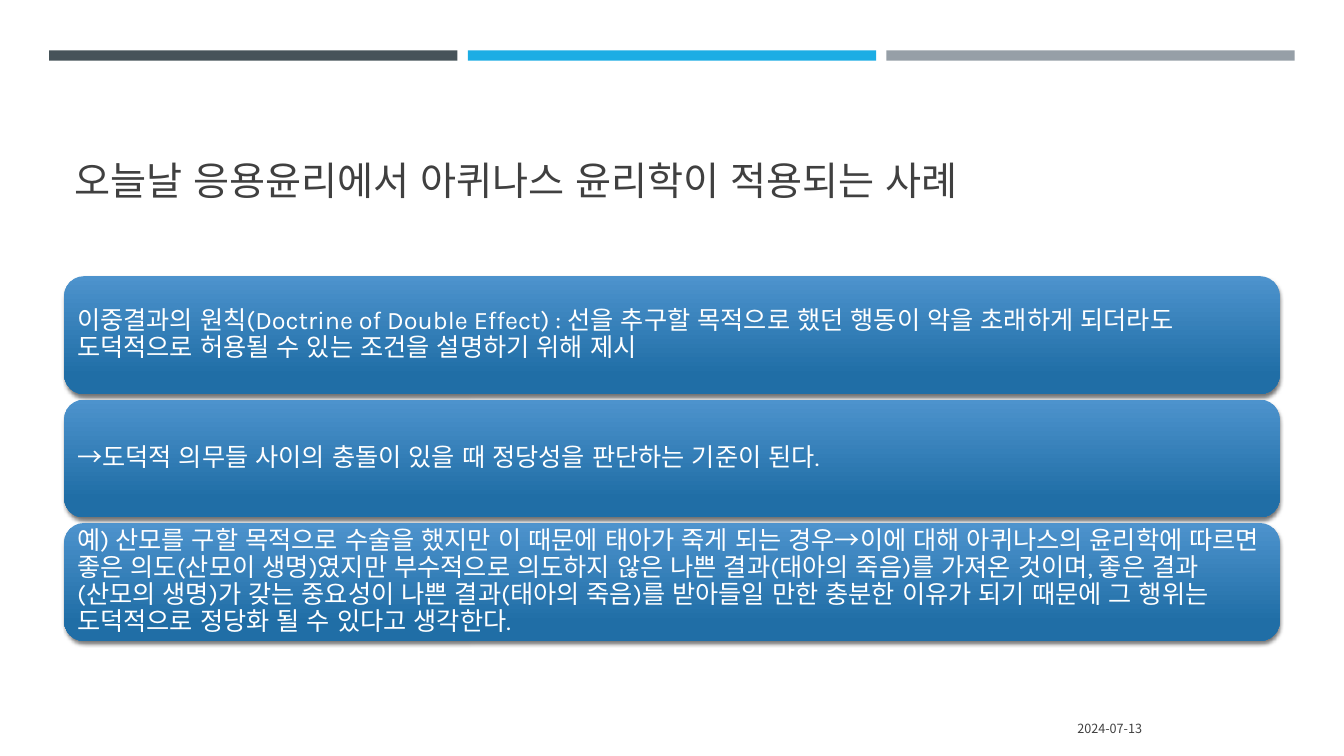
from lxml import etree
from pptx import Presentation
from pptx.dml.color import RGBColor
from pptx.enum.lang import MSO_LANGUAGE_ID
from pptx.enum.shapes import MSO_SHAPE
from pptx.enum.text import MSO_ANCHOR, MSO_AUTO_SIZE, PP_ALIGN
from pptx.oxml.ns import qn
from pptx.util import Cm, Pt

RECTANGLE = MSO_SHAPE.RECTANGLE
ROUNDED_RECTANGLE = MSO_SHAPE.ROUNDED_RECTANGLE
MIDDLE, BOTTOM = MSO_ANCHOR.MIDDLE, MSO_ANCHOR.BOTTOM
LEFT, RIGHT = PP_ALIGN.LEFT, PP_ALIGN.RIGHT
NO_AUTOFIT = MSO_AUTO_SIZE.NONE
KOREAN = MSO_LANGUAGE_ID.KOREAN

COLORS = {
    "slate": "465359",
    "blue": "1CADE4",
    "gray": "969FA7",
    "text": "404040",
    "panel top": "4D93CD",
    "panel bottom": "206EA6",
    "white": "FFFFFF",
    "shadow": "000000",
}
KOREAN_FONT = "Noto Sans CJK KR"
LATIN_FONT = "Karla"

PANEL_TEXTS = [
    "이중결과의 원칙(Doctrine of Double Effect) : 선을 추구할 목적으로 했던 행동이 악을 "
    "초래하게 되더라도 도덕적으로 허용될 수 있는 조건을 설명하기 위해 제시",
    "→도덕적 의무들 사이의 충돌이 있을 때 정당성을 판단하는 기준이 된다.",
    "예) 산모를 구할 목적으로 수술을 했지만 이 때문에 태아가 죽게 되는 경우→이에 대해 "
    "아퀴나스의 윤리학에 따르면 좋은 의도(산모이 생명)였지만 부수적으로 의도하지 않은 나쁜 "
    "결과(태아의 죽음)를 가져온 것이며, 좋은 결과(산모의 생명)가 갖는 중요성이 나쁜 결과"
    "(태아의 죽음)를 받아들일 만한 충분한 이유가 되기 때문에 그 행위는 도덕적으로 정당화 "
    "될 수 있다고 생각한다.",
]


def write_text(shape, text, size, color, font_name, anchor, alignment):
    """Fill the shape with one formatted paragraph and return that paragraph."""
    frame = shape.text_frame
    frame.text = text
    frame.word_wrap = True
    frame.auto_size = NO_AUTOFIT
    frame.vertical_anchor = anchor
    paragraph = frame.paragraphs[0]
    paragraph.alignment = alignment
    run = paragraph.runs[0]
    run.font.size = Pt(size)
    run.font.name = font_name
    run.font.language_id = KOREAN
    run.font.color.rgb = RGBColor.from_string(COLORS[color])
    east_asian = etree.SubElement(run.font._element, qn("a:ea"))
    east_asian.set("typeface", KOREAN_FONT)
    return paragraph


def add_soft_shadow(shape):
    shape.shadow.inherit = False
    effects = shape._element.spPr.find(qn("a:effectLst"))
    shadow = etree.SubElement(effects, qn("a:outerShdw"), blurRad=str(Pt(3)),
                              dist=str(Pt(2)), dir="5400000", rotWithShape="0")
    color = etree.SubElement(shadow, qn("a:srgbClr"), val=COLORS["shadow"])
    etree.SubElement(color, qn("a:alpha"), val="55000")


presentation = Presentation()
presentation.slide_width = Cm(33.87)
presentation.slide_height = Cm(19.05)
slide = presentation.slides.add_slide(presentation.slide_layouts[5])

# Three bars across the top
for index, color in enumerate(["slate", "blue", "gray"]):
    bar = slide.shapes.add_shape(
        RECTANGLE, Cm(1.24 + index * 10.55), Cm(1.27), Cm(10.29), Cm(0.26))
    bar.shadow.inherit = False
    bar.fill.solid()
    bar.fill.fore_color.rgb = RGBColor.from_string(COLORS[color])
    bar.line.fill.background()

# Title and date
title = slide.shapes.title
title.left, title.top, title.width, title.height = Cm(1.62), Cm(1.96), Cm(30.63), Cm(3.3)
write_text(title, "오늘날 응용윤리에서 아퀴나스 윤리학이 적용되는 사례",
           28, "text", KOREAN_FONT, BOTTOM, LEFT)

date = slide.shapes.add_textbox(Cm(21.13), Cm(17.84), Cm(7.9), Cm(1.02))
write_text(date, "2024-07-13", 9, "text", KOREAN_FONT, MIDDLE, RIGHT)

# Stacked panels
for index, text in enumerate(PANEL_TEXTS):
    panel = slide.shapes.add_shape(
        ROUNDED_RECTANGLE, Cm(1.62), Cm(6.96 + index * 3.11), Cm(30.63), Cm(2.97))
    panel.line.fill.background()
    panel.fill.gradient()
    panel.fill.gradient_angle = 270
    stops = panel.fill.gradient_stops
    for stop, position, color in zip(stops, [0, 0.84], ["panel top", "panel bottom"]):
        stop.position = position
        stop.color.rgb = RGBColor.from_string(COLORS[color])
    add_soft_shadow(panel)
    frame = panel.text_frame
    frame.margin_left = frame.margin_right = Cm(0.18)
    frame.margin_top = frame.margin_bottom = Cm(0.18)
    paragraph = write_text(panel, text, 18, "white", LATIN_FONT, MIDDLE, LEFT)
    paragraph.line_spacing = 0.9

presentation.save("out.pptx")
